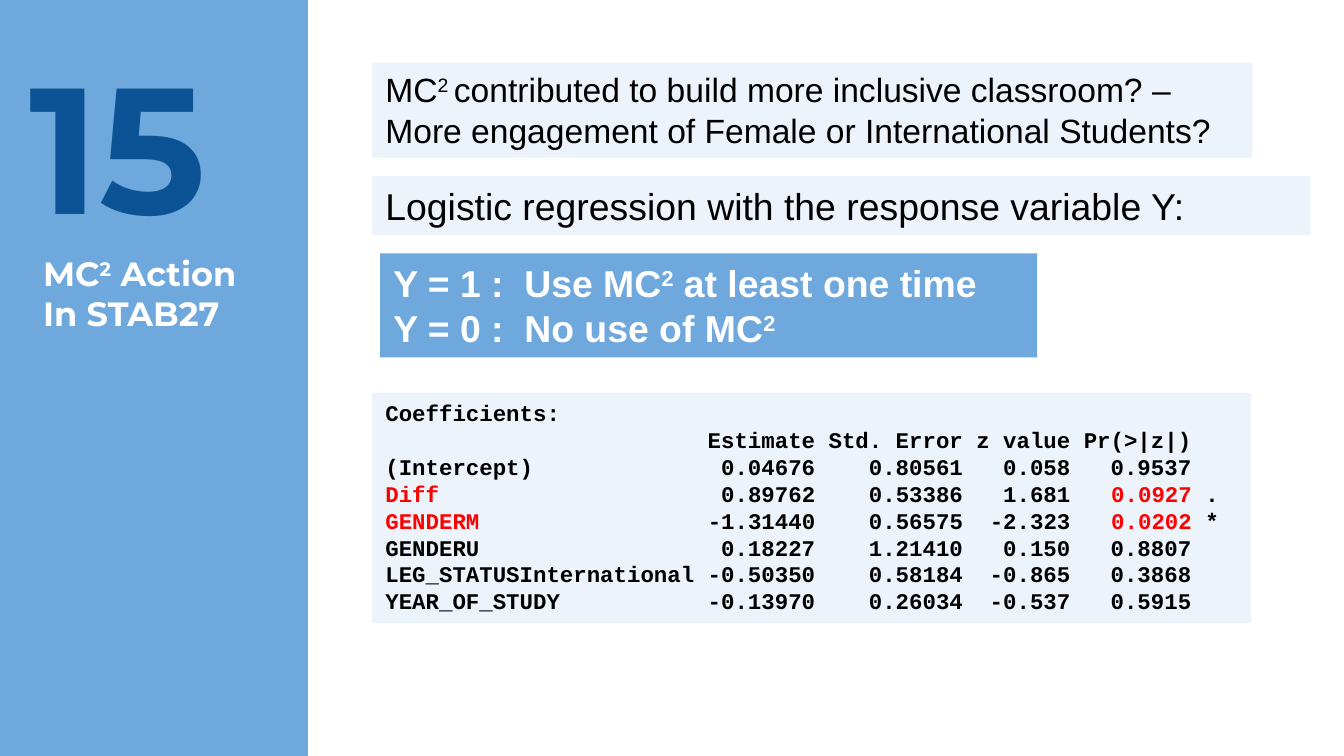
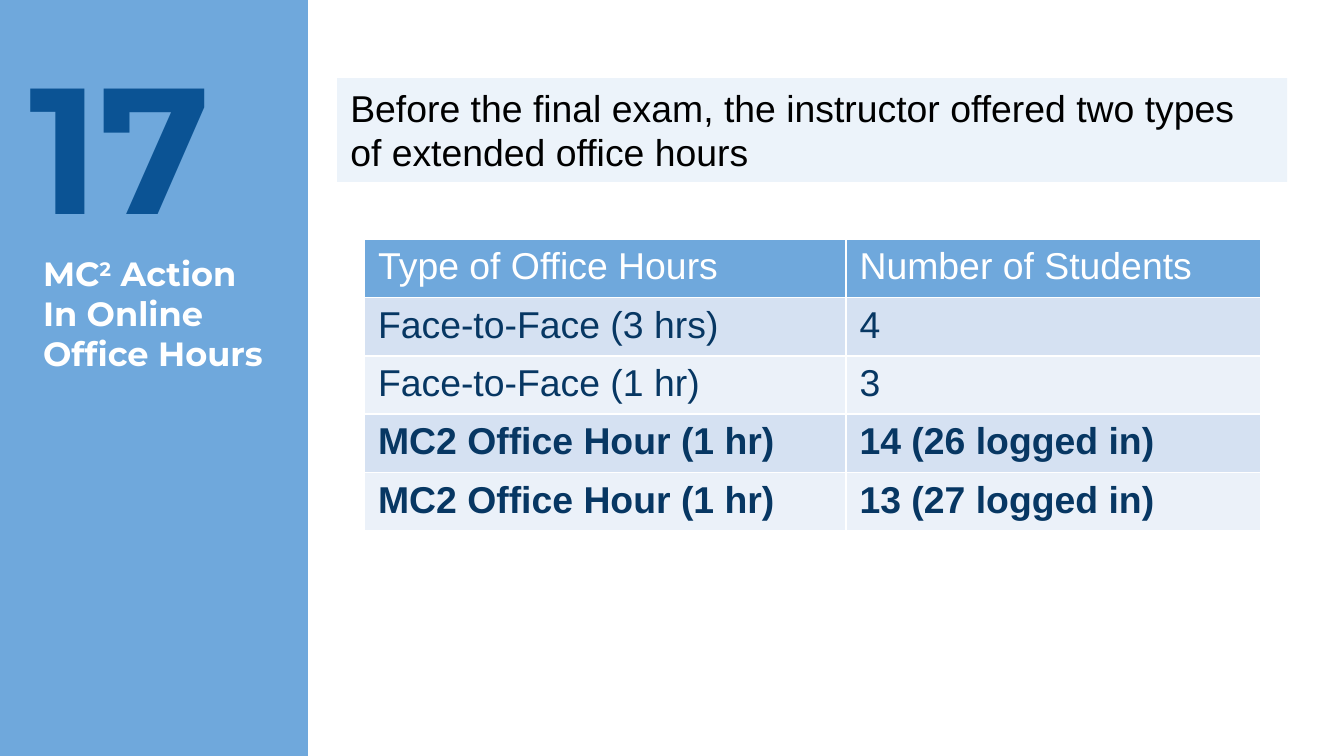
from lxml import etree
from pptx import Presentation
from pptx.dml.color import RGBColor
from pptx.enum.shapes import MSO_SHAPE as Shape
from pptx.enum.text import MSO_ANCHOR as Anchor, MSO_AUTO_SIZE as AutoSize, PP_ALIGN as Align
from pptx.oxml.ns import qn
from pptx.util import Pt

WIDTH, HEIGHT = 720, 405
SIDEBAR = 165
BLUE, DEEP_BLUE, NAVY = "6FA8DC", "0B5394", "073763"
PALE, BAND_DARK, BAND_LIGHT = "ECF3FA", "D5E1F2", "EBF1F9"
WHITE, BLACK, RED = "FFFFFF", "000000", "FF0000"
HEADING_FONT, BODY_FONT, CODE_FONT = "Montserrat", "Arial", "Courier New"
RAISED = {"raised": True}

COEFFICIENTS = [
    ("(Intercept)", "0.04676", "0.80561", "0.058", "0.9537", ""),
    ("Diff", "0.89762", "0.53386", "1.681", "0.0927", "."),
    ("GENDERM", "-1.31440", "0.56575", "-2.323", "0.0202", "*"),
    ("GENDERU", "0.18227", "1.21410", "0.150", "0.8807", ""),
    ("LEG_STATUSInternational", "-0.50350", "0.58184", "-0.865", "0.3868", ""),
    ("YEAR_OF_STUDY", "-0.13970", "0.26034", "-0.537", "0.5915", ""),
]
OFFICE_HOURS = [
    ("Type of Office Hours", "Number of Students"),
    ("Face-to-Face (3 hrs)", "4"),
    ("Face-to-Face (1 hr)", "3"),
    ("MC2 Office Hour (1 hr)", "14 (26 logged in)"),
    ("MC2 Office Hour (1 hr)", "13 (27 logged in)"),
]


def paint(fill, color):
    fill.solid()
    fill.fore_color.rgb = RGBColor.from_string(color)


def add_span(para, text, size=20, font=BODY_FONT, color=BLACK, bold=False, raised=False):
    span = para.add_run()
    span.text = text
    span.font.size = Pt(size)
    span.font.name = font
    span.font.bold = bold
    span.font.color.rgb = RGBColor.from_string(color)
    if raised:
        span.font._element.set("baseline", "30000")


def write(frame, text, mark=RAISED, tab=None, **style):
    """Write one paragraph per line; parts between ^ signs also get the mark format."""
    for index, line in enumerate(text.split("\n")):
        para = frame.add_paragraph() if index else frame.paragraphs[0]
        para.alignment = Align.LEFT
        if tab:
            stops = etree.SubElement(para._p.get_or_add_pPr(), qn("a:tabLst"))
            etree.SubElement(stops, qn("a:tab"), pos=str(Pt(tab)), algn="l")
        for number, part in enumerate(line.split("^")):
            if part:
                add_span(para, part, **{**style, **(mark if number % 2 else {})})


def add_text(page, text, left, top, width, height, fill=None, inset=3.6, **style):
    box = page.shapes.add_textbox(Pt(left), Pt(top), Pt(width), Pt(height))
    if fill:
        paint(box.fill, fill)
    frame = box.text_frame
    frame.word_wrap = True
    frame.auto_size = AutoSize.SHAPE_TO_FIT_TEXT if fill else AutoSize.NONE
    frame.vertical_anchor = Anchor.TOP
    frame.margin_top = frame.margin_bottom = Pt(inset)
    write(frame, text, **style)


def add_page(deck, number, title):
    """Add a page with its sidebar, large number and title."""
    page = deck.slides.add_slide(deck.slide_layouts[6])
    paint(page.background.fill, BLUE)
    panel = page.shapes.add_shape(
        Shape.RECTANGLE, Pt(SIDEBAR), 0, Pt(WIDTH - SIDEBAR), Pt(HEIGHT))
    panel.shadow.inherit = False
    paint(panel.fill, WHITE)
    panel.line.fill.background()
    heading = {"inset": 7.2, "font": HEADING_FONT, "bold": True}
    add_text(page, title, 16, 128.2, 134.6, 67.7, size=18, color=WHITE, **heading)
    add_text(page, number, 8.8, 11.5, 142.6, 98.6, size=96, color=DEEP_BLUE, **heading)
    return page


def coefficient_listing():
    """Lay the results out in fixed columns, marking the rows that have a flag."""
    lines = ["Coefficients:",
             f"{'Estimate':>32}{'Std. Error':>11}{'z value':>8}{'Pr(>|z|)':>9}"]
    for name, estimate, error, z_value, chance, flag in COEFFICIENTS:
        mark = "^" if flag else ""
        gap = " " * (24 - len(name))
        line = (f"{mark}{name}{mark}{gap}{estimate:>8}{error:>11}{z_value:>8}"
                f"   {mark}{chance}{mark} {flag}")
        lines.append(line.rstrip())
    return "\n".join(lines)


def add_border(cell, color=WHITE, width=1):
    properties = cell._tc.get_or_add_tcPr()
    for index, side in enumerate(("lnL", "lnR", "lnT", "lnB")):
        line = etree.Element(qn(f"a:{side}"), w=str(Pt(width)))
        solid = etree.SubElement(line, qn("a:solidFill"))
        etree.SubElement(solid, qn("a:srgbClr"), val=color)
        properties.insert(index, line)


def add_table(page, rows, left, top, widths, row_height):
    table = page.shapes.add_table(
        len(rows), len(widths), Pt(left), Pt(top),
        Pt(sum(widths)), Pt(row_height * len(rows))).table
    for column, width in zip(table.columns, widths):
        column.width = Pt(width)
    for r, row in enumerate(rows):
        table.rows[r].height = Pt(row_height)
        fill = (BAND_DARK if r % 2 else BAND_LIGHT) if r else BLUE
        for c, text in enumerate(row):
            cell = table.cell(r, c)
            paint(cell.fill, fill)
            add_border(cell)
            write(cell.text_frame, text, color=NAVY if r else WHITE,
                  bold=text.startswith("MC2") or "logged in" in text)


def add_regression_page(deck):
    page = add_page(deck, "15", "MC^2^ Action In STAB27")
    left = 199.4
    add_text(page, "MC^2 ^contributed to build more inclusive classroom? – "
             "More engagement of Female or International Students?",
             left, 33.6, 471.6, 50.9, fill=PALE, size=18)
    add_text(page, "Logistic regression with the response variable Y:",
             left, 94.4, 502.6, 31.5, fill=PALE)
    add_text(page, "Y = 1 :\tUse MC^2^ at least one time\nY = 0 :\tNo use of MC^2^",
             203.6, 135.8, 352, 55.7, fill=BLUE, color=WHITE, bold=True, tab=70.2)
    add_text(page, coefficient_listing(), left, 210.4, 470.9, 123.6, fill=PALE,
             mark={"color": RED}, size=12, font=CODE_FONT, bold=True)


def add_office_hours_page(deck):
    page = add_page(deck, "17", "MC^2^ Action In Online Office Hours")
    add_text(page, "Before the final exam, the instructor offered two types "
             "of extended office hours", 180.6, 41.8, 509, 55.7, fill=PALE)
    add_table(page, OFFICE_HOURS, 195.3, 128.2, (258, 222), 31.2)


def main():
    deck = Presentation()
    deck.slide_width, deck.slide_height = Pt(WIDTH), Pt(HEIGHT)
    add_regression_page(deck)
    add_office_hours_page(deck)
    deck.save("out.pptx")


if __name__ == "__main__":
    main()
